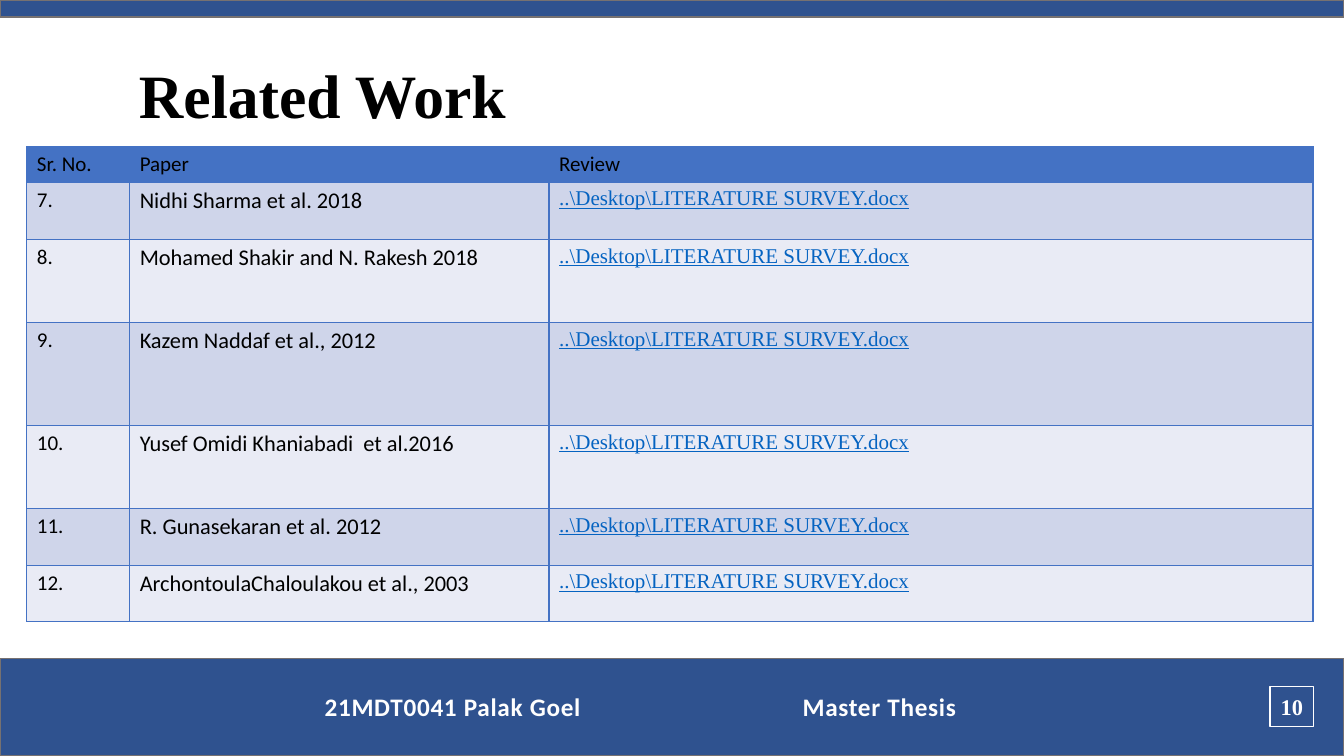
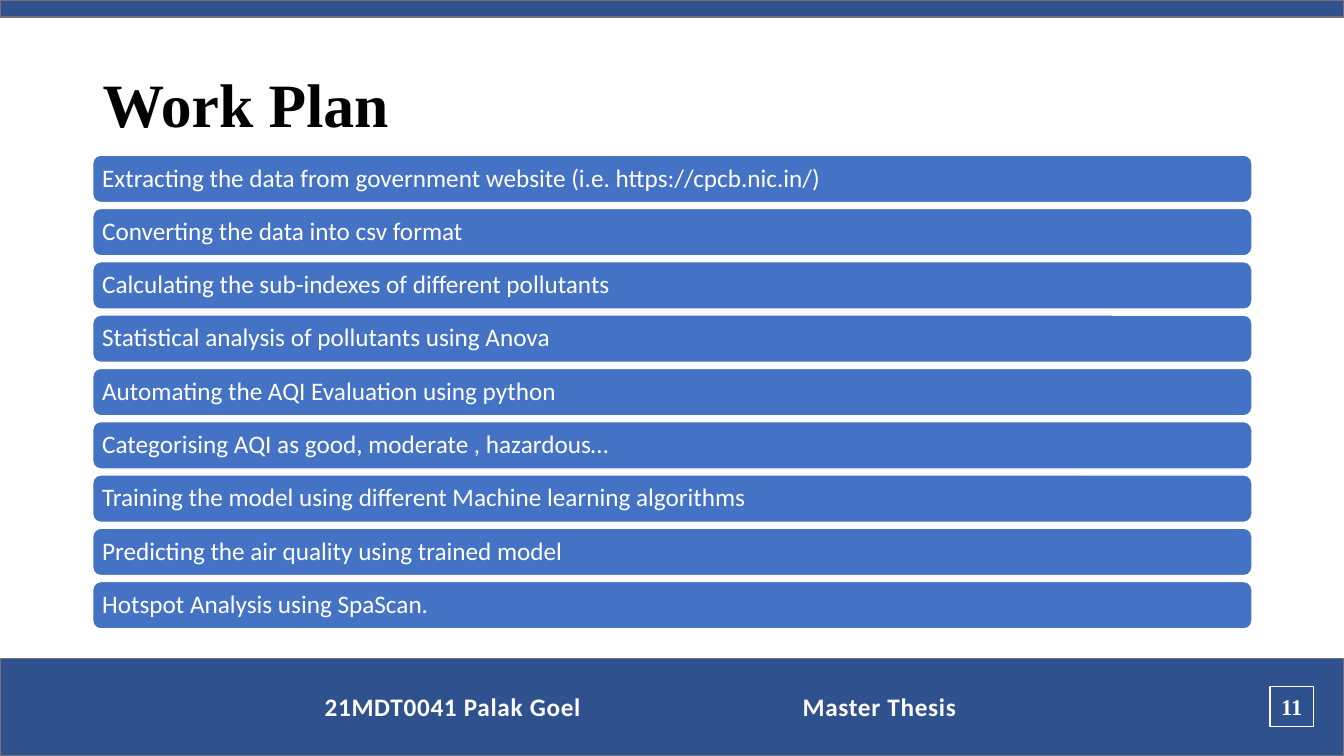
from pptx import Presentation
from pptx.dml.color import RGBColor as RGB
from pptx.enum.shapes import MSO_SHAPE as Form
from pptx.enum.text import MSO_ANCHOR as Anchor, PP_ALIGN as Align
from pptx.oxml import parse_xml
from pptx.oxml.ns import nsdecls
from pptx.util import Inches, Pt

WIDE, HIGH = Inches(13.33), Inches(7.5)

# Colours
NAVY, BLUE, GREY = "2F528F", "4472C4", "767171"
WHITE, BLACK, LINK = "FFFFFF", "000000", "0563C1"
BANDS = ("E9EBF5", "CFD5EA")

# Text styles: font values, with the colour under "ink"
SANS, SERIF = "Calibri", "Times New Roman"
HEAD = {"name": SERIF, "size": Pt(44), "bold": True, "ink": BLACK}
FOOT = {"name": SANS, "size": Pt(18), "bold": True, "ink": "FEFEFE"}
PAGE = {"name": SERIF, "size": Pt(16), "bold": True, "ink": WHITE}
STEP = {"name": SANS, "size": Pt(18), "ink": WHITE}
CELL = {"name": SANS, "size": Pt(15), "bold": False, "ink": BLACK}
NAME = CELL | {"size": Pt(16)}
REF = CELL | {"name": SERIF, "underline": True, "ink": LINK}


def tint(code):
    return RGB.from_string(code)


def across(share):
    """Percent of the slide's width."""
    return round(WIDE * share / 100)


def down(share):
    """Percent of the slide's height."""
    return round(HIGH * share / 100)


class Deck:
    def __init__(self):
        self.file = Presentation()
        self.file.slide_width, self.file.slide_height = WIDE, HIGH
        self.slide = None

    def area(self, x, y, w, h):
        return across(x), down(y), across(w), down(h)

    def text(self, frame, words, look, **form):
        """Put one styled line in a frame; form holds paragraph values."""
        para = frame.paragraphs[0]
        run = para.add_run()
        run.text = words
        for key, value in look.items():
            if key != "ink":
                setattr(run.font, key, value)
        run.font.color.rgb = tint(look["ink"])
        for key, value in form.items():
            setattr(para, key, value)
        return para

    def block(self, spot, fill, line, form=Form.RECTANGLE):
        shape = self.slide.shapes.add_shape(form, *self.area(*spot))
        shape.shadow.inherit = False
        shape.fill.solid()
        shape.fill.fore_color.rgb = tint(fill)
        shape.line.color.rgb = tint(line)
        shape.line.width = Pt(1)
        shape.text_frame.vertical_anchor = Anchor.MIDDLE
        return shape

    def label(self, spot):
        frame = self.slide.shapes.add_textbox(*self.area(*spot)).text_frame
        frame.word_wrap = True
        return frame

    def start(self, page, title, x, y):
        """Add a slide with its bands, footer, page number and title."""
        self.slide = self.file.slides.add_slide(self.file.slide_layouts[6])
        self.block((0, 87.07, 100, 12.93), NAVY, GREY)
        self.block((0, 0, 100, 2.27), NAVY, GREY)

        box = self.block((94.5, 90.8, 3.23, 5.33), NAVY, WHITE).text_frame
        box.word_wrap = False
        self.text(box, str(page), PAGE, alignment=Align.CENTER)

        foot = self.label((21.53, 90.8, 70.67, 5.33))
        foot.margin_left = Inches(0.35)
        para = self.text(foot, "21MDT0041 Palak Goel\tMaster Thesis", FOOT)
        para.runs[0].font._element.set("spc", "50")
        para._p.get_or_add_pPr().append(parse_xml(
            f'<a:tabLst {nsdecls("a")}>'
            f'<a:tab pos="{Inches(4.74)}" algn="l"/></a:tabLst>'))

        head = self.label((x, y, 86.25, 19.33))
        head.vertical_anchor = Anchor.MIDDLE
        self.text(head, title, HEAD, line_spacing=0.9)

    def edge(self, cell):
        """Draw a thin blue line round a cell."""
        props = cell._tc.get_or_add_tcPr()
        for spot, side in enumerate("LRTB"):
            props.insert(spot, parse_xml(
                f'<a:ln{side} {nsdecls("a")} w="{Pt(1)}"><a:solidFill>'
                f'<a:srgbClr val="{BLUE}"/></a:solidFill></a:ln{side}>'))

    def table(self, x, y, cols, rows, data):
        spot = self.area(x, y, sum(cols), sum(rows))
        grid = self.slide.shapes.add_table(
            len(rows), len(cols), *spot).table
        grid.first_row = grid.horz_banding = False
        for col, share in zip(grid.columns, cols):
            col.width = across(share)
        for row, share in zip(grid.rows, rows):
            row.height = down(share)
        for r, line in enumerate(data):
            looks = (CELL, NAME, REF) if r else (CELL,) * 3
            for c, (words, look) in enumerate(zip(line, looks)):
                cell = grid.cell(r, c)
                cell.fill.solid()
                cell.fill.fore_color.rgb = tint(BANDS[r % 2] if r else BLUE)
                self.edge(cell)
                self.text(cell.text_frame, words, look)

    def steps(self, x, y, w, h, pitch, items):
        """Stack rounded bars at an even pitch."""
        for n, words in enumerate(items):
            bar = self.block((x, y + n * pitch, w, h), BLUE, WHITE,
                             Form.ROUNDED_RECTANGLE)
            bar.adjustments[0] = 0.17
            frame = bar.text_frame
            frame.word_wrap = True
            for side in ("left", "right", "top", "bottom"):
                setattr(frame, f"margin_{side}", Inches(0.07))
            self.text(frame, words, STEP, alignment=Align.LEFT,
                      line_spacing=0.9)


PAPERS = [
    "Nidhi Sharma et al. 2018",
    "Mohamed Shakir and N. Rakesh 2018",
    "Kazem Naddaf et al., 2012",
    "Yusef Omidi Khaniabadi  et al.2016",
    "R. Gunasekaran et al. 2012",
    "ArchontoulaChaloulakou et al., 2003",
]
SURVEY = r"..\Desktop\LITERATURE SURVEY.docx"
PLAN = [
    "Extracting the data from government website "
    "(i.e. https://cpcb.nic.in/)",
    "Converting the data into csv format",
    "Calculating the sub-indexes of different pollutants",
    "Statistical analysis of pollutants using Anova",
    "Automating the AQI Evaluation using python",
    "Categorising AQI as good, moderate , hazardous…",
    "Training the model using different Machine learning algorithms",
    "Predicting the air quality using trained model",
    "Hotspot Analysis using SpaScan.",
]


def main():
    deck = Deck()

    # Related work: table of papers
    deck.start(10, "Related Work", 9.6, 3.33)
    data = [("Sr. No.", "Paper", "Review")]
    data += [(f"{n}.", who, SURVEY) for n, who in enumerate(PAPERS, 7)]
    deck.table(2, 19.4, (7.65, 31.2, 56.85),
               (4.67, 7.6, 11, 13.6, 11, 7.5, 7.5), data)

    # Work plan: stacked steps
    deck.start(11, "Work Plan", 6.9, 4.53)
    deck.steps(6.9, 20.53, 86.25, 6.27, 7.05, PLAN)

    deck.file.save("out.pptx")


if __name__ == "__main__":
    main()
